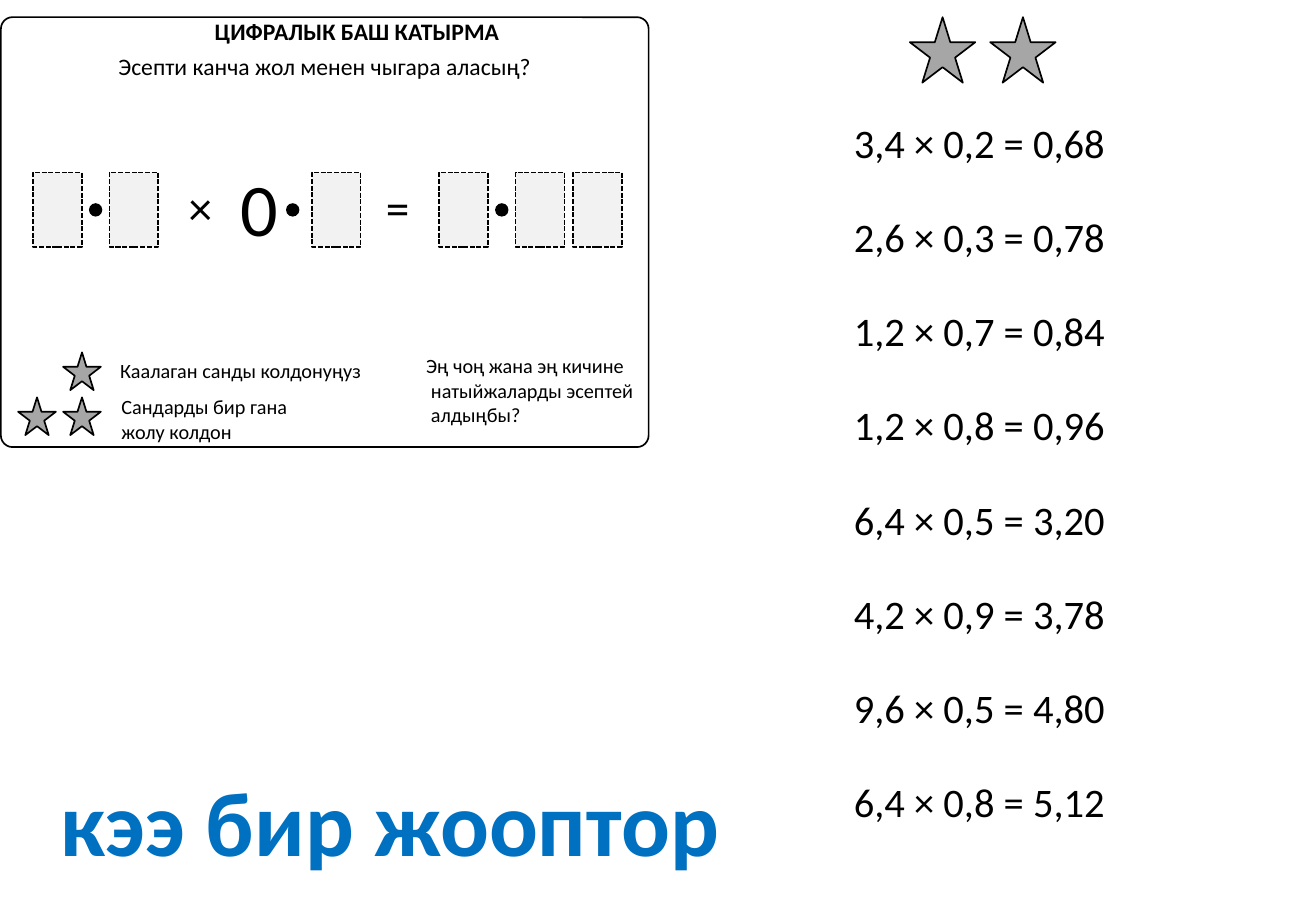
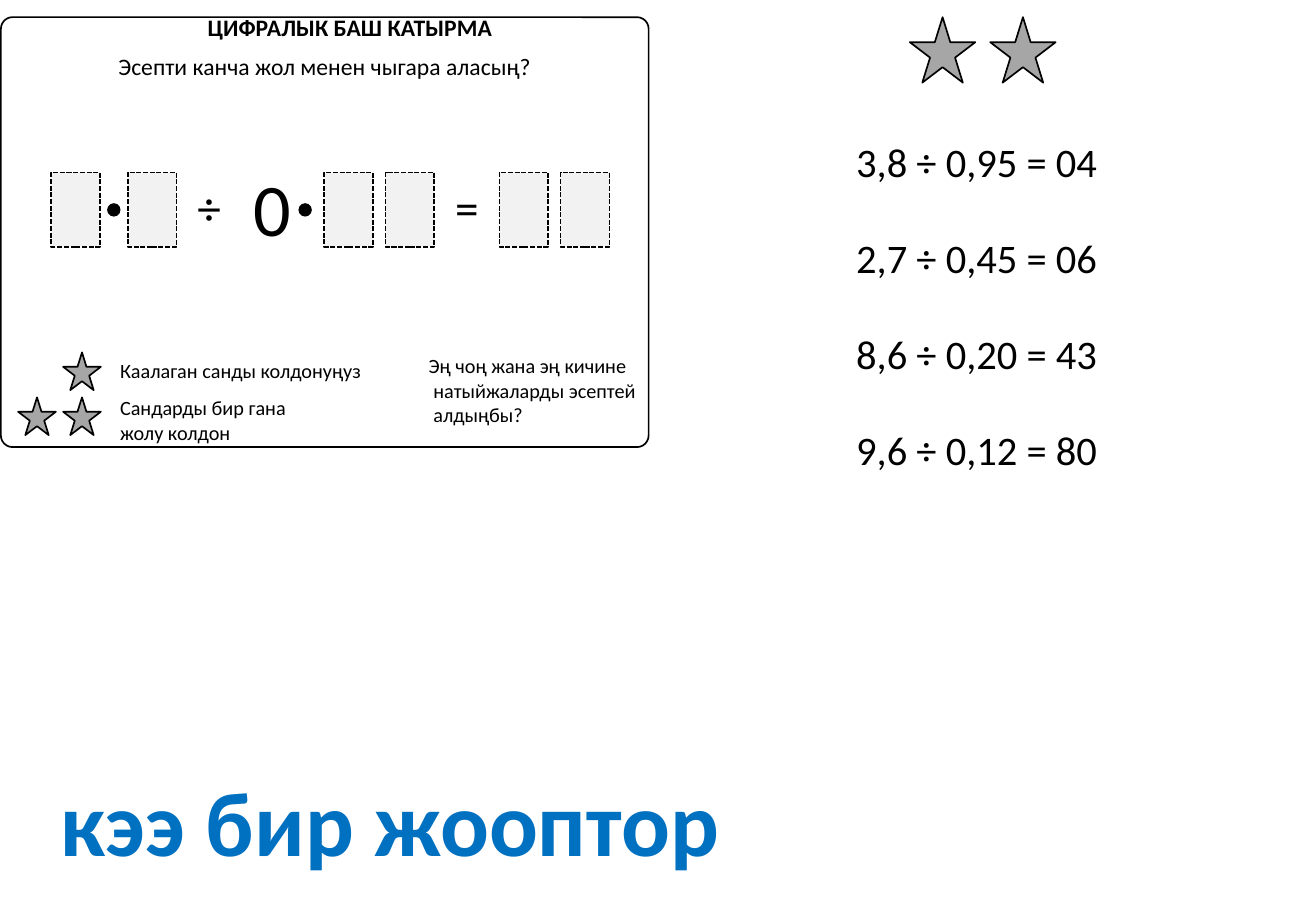
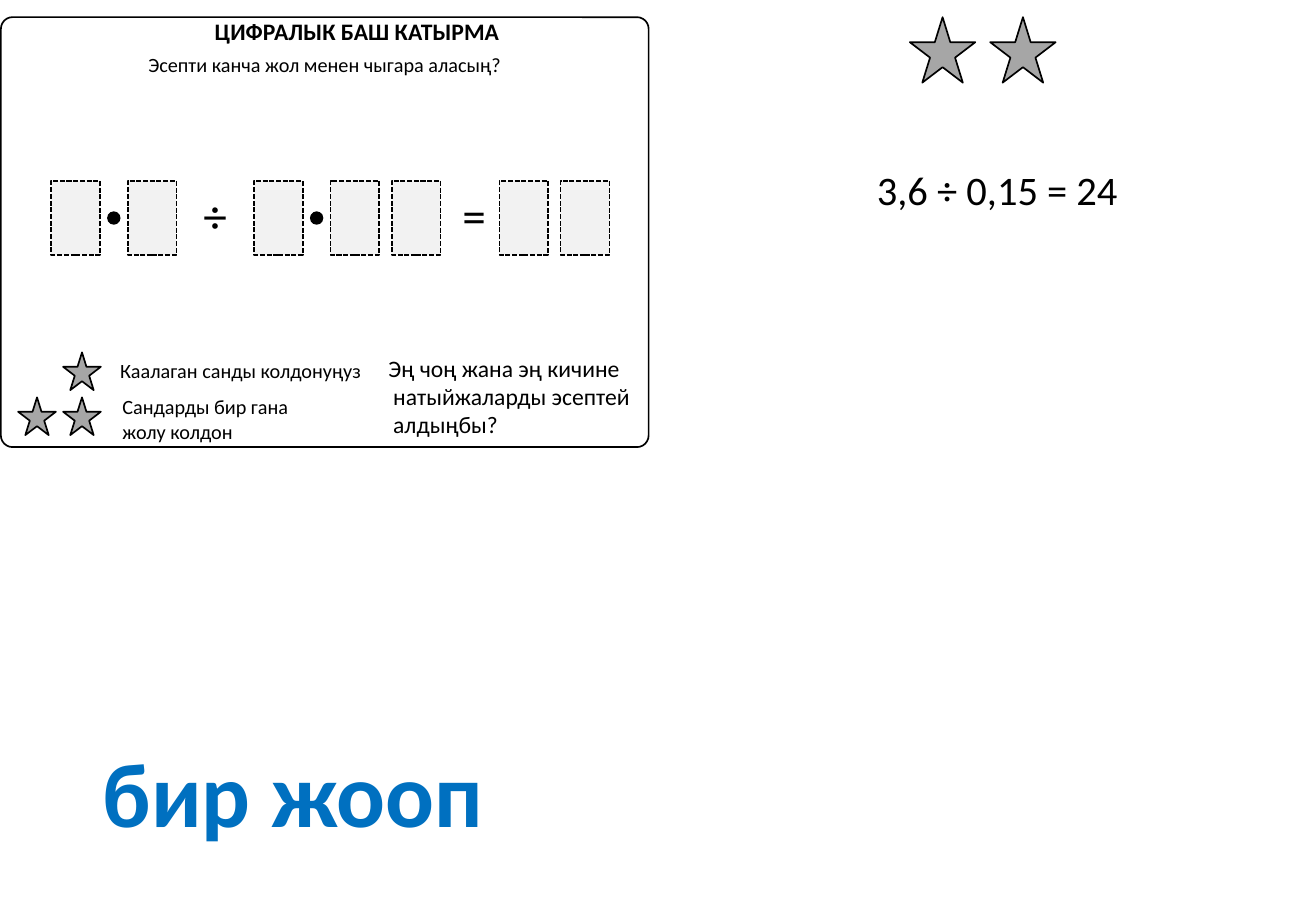
from dataclasses import dataclass

from pptx import Presentation
from pptx.dml.color import RGBColor
from pptx.enum.dml import MSO_LINE
from pptx.enum.shapes import MSO_SHAPE
from pptx.enum.text import MSO_AUTO_SIZE, PP_ALIGN
from pptx.util import Cm, Pt

STAR = MSO_SHAPE.STAR_5_POINT
RECTANGLE = MSO_SHAPE.RECTANGLE
ROUNDED_RECTANGLE = MSO_SHAPE.ROUNDED_RECTANGLE
OVAL = MSO_SHAPE.OVAL
DASH = MSO_LINE.SQUARE_DOT
FIT_SHAPE = MSO_AUTO_SIZE.SHAPE_TO_FIT_TEXT
LEFT = PP_ALIGN.LEFT
CENTER = PP_ALIGN.CENTER


@dataclass(frozen=True)
class Theme:
    font: str = "Calibri"
    ink: RGBColor = RGBColor(0x00, 0x00, 0x00)
    accent: RGBColor = RGBColor(0x00, 0x70, 0xC0)
    star: RGBColor = RGBColor(0xA6, 0xA6, 0xA6)
    tile: RGBColor = RGBColor(0xF2, 0xF2, 0xF2)
    line_width: float = 1
    small_size: int = 12
    body_size: int = 14
    answer_size: int = 24
    sign_size: int = 28
    zero_size: int = 44
    heading_size: int = 54


THEME = Theme()

NUMBER_OFFSETS = {
    "_._": (0, 1.17, 1.6),
    "0._": (0, 1.2, 1.74),
}


@dataclass(frozen=True)
class Puzzle:
    title_at: tuple
    question_size: int
    rule_at: tuple
    prompt_left: float
    prompt_width: float
    prompt_size: int
    prompt_wraps: bool
    equation_top: float
    digit_pitch: float
    numbers: tuple
    signs: tuple
    heading: str
    heading_box: tuple
    answers: tuple
    answers_at: tuple
    answer_width: float
    answer_pitch: float


PUZZLES = (
    Puzzle(
        title_at=(4.24, 0.36),
        question_size=THEME.body_size,
        rule_at=(2.29, 8.13),
        prompt_left=8.66,
        prompt_width=4.9,
        prompt_size=THEME.small_size,
        prompt_wraps=False,
        equation_top=3.61,
        digit_pitch=1.2,
        numbers=((0.69, "_._"), (4.78, "0._"), (9.18, "_.__")),
        signs=((3.68, "×"), (7.8, "=")),
        heading="кээ бир жооптор",
        heading_box=(0.94, 15.88, 14.43, 2.57),
        answers=(
            "3,4 × 0,2 = 0,68",
            "2,6 × 0,3 = 0,78",
            "1,2 × 0,7 = 0,84",
            "1,2 × 0,8 = 0,96",
            "6,4 × 0,5 = 3,20",
            "4,2 × 0,9 = 3,78",
            "9,6 × 0,5 = 4,80",
            "6,4 × 0,8 = 5,12",
        ),
        answers_at=(17.6, 2.34),
        answer_width=5.79,
        answer_pitch=1.97,
    ),
    Puzzle(
        title_at=(4.09, 0.28),
        question_size=THEME.body_size,
        rule_at=(2.26, 8.15),
        prompt_left=8.71,
        prompt_width=4.9,
        prompt_size=THEME.small_size,
        prompt_wraps=False,
        equation_top=3.61,
        digit_pitch=1.28,
        numbers=((1.07, "_._"), (5.04, "0.__"), (10.44, "__")),
        signs=((3.86, "÷"), (9.25, "=")),
        heading="кээ бир жооптор",
        heading_box=(0.94, 15.88, 14.43, 2.57),
        answers=(
            "3,8 ÷ 0,95 = 04",
            "2,7 ÷ 0,45 = 06",
            "8,6 ÷ 0,20 = 43",
            "9,6 ÷ 0,12 = 80",
        ),
        answers_at=(17.65, 2.74),
        answer_width=5.59,
        answer_pitch=2.01,
    ),
    Puzzle(
        title_at=(4.24, 0.36),
        question_size=THEME.small_size,
        rule_at=(2.31, 8.13),
        prompt_left=7.87,
        prompt_width=10.87,
        prompt_size=THEME.body_size,
        prompt_wraps=True,
        equation_top=3.78,
        digit_pitch=1.28,
        numbers=((1.07, "_._"), (5.31, "_.__"), (10.44, "__")),
        signs=((3.99, "÷"), (9.4, "=")),
        heading="бир жооп",
        heading_box=(1.85, 15.27, 8.56, 2.57),
        answers=("3,6 ÷ 0,15 = 24",),
        answers_at=(18.08, 3.33),
        answer_width=5.59,
        answer_pitch=0,
    ),
)


def add_figure(slide, kind, left, top, width, height, fill=None, outlined=True):
    shape = slide.shapes.add_shape(kind, Cm(left), Cm(top), Cm(width), Cm(height))
    shape.shadow.inherit = False
    if fill is None:
        shape.fill.background()
    else:
        shape.fill.solid()
        shape.fill.fore_color.rgb = fill
    if outlined:
        shape.line.color.rgb = THEME.ink
        shape.line.width = Pt(THEME.line_width)
    else:
        shape.line.fill.background()
    return shape


def add_text(slide, text, box, size, color=THEME.ink, bold=False,
             align=LEFT, wrap=False):
    text_box = slide.shapes.add_textbox(*(Cm(length) for length in box))
    text_frame = text_box.text_frame
    text_frame.word_wrap = wrap
    text_frame.auto_size = FIT_SHAPE
    text_frame.text = text
    for paragraph in text_frame.paragraphs:
        paragraph.alignment = align
        for run in paragraph.runs:
            run.font.name = THEME.font
            run.font.size = Pt(size)
            run.font.bold = bold
            run.font.color.rgb = color
    return text_frame


def add_star(slide, left, top, size):
    add_figure(slide, STAR, left, top, size, size, THEME.star)


def add_tile(slide, left, top):
    tile = add_figure(slide, RECTANGLE, left, top, 1.02, 1.55, THEME.tile)
    tile.line.dash_style = DASH


def add_dot(slide, left, top):
    add_figure(slide, OVAL, left, top + 0.64, 0.28, 0.28, THEME.ink, outlined=False)


def add_zero(slide, left, top):
    add_text(slide, "0", (left, top - 0.35, 1.3, 2.13), THEME.zero_size)


DIGIT_BUILDERS = {"_": add_tile, ".": add_dot, "0": add_zero}


def add_number(slide, left, top, pattern, digit_pitch):
    offsets = list(NUMBER_OFFSETS.get(pattern[:3], (0,)))
    while len(offsets) < len(pattern):
        offsets.append(offsets[-1] + digit_pitch)
    for symbol, offset in zip(pattern, offsets):
        DIGIT_BUILDERS[symbol](slide, left + offset, top)


def add_equation(slide, puzzle):
    for left, pattern in puzzle.numbers:
        add_number(slide, left, puzzle.equation_top, pattern, puzzle.digit_pitch)
    for left, sign in puzzle.signs:
        add_text(slide, sign, (left, puzzle.equation_top, 1.02, 1.45),
                 THEME.sign_size, align=CENTER)


def add_prompt(slide, puzzle):
    text_frame = add_text(
        slide,
        "Эң чоң жана эң кичине\nнатыйжаларды эсептей\nалдыңбы?",
        (puzzle.prompt_left, 7.27, puzzle.prompt_width, 2.7),
        puzzle.prompt_size,
        wrap=puzzle.prompt_wraps,
    )
    for paragraph in text_frame.paragraphs[1:]:
        paragraph._p.get_or_add_pPr().set("marL", str(Cm(0.1)))


def add_card(slide, puzzle):
    card = add_figure(slide, ROUNDED_RECTANGLE, 0.02, 0.36, 13.54, 8.99)
    card.adjustments[0] = 0.027
    title = add_text(slide, "ЦИФРАЛЫК БАШ КАТЫРМА", (*puzzle.title_at, 6.5, 0.61),
                     THEME.body_size, bold=True)
    title.margin_top = title.margin_bottom = 0
    add_text(slide, "Эсепти канча жол менен чыгара аласың?",
             (2.08, 0.97, 9.42, 0.86), puzzle.question_size, align=CENTER)
    for left, top in ((1.32, 7.37), (1.32, 8.31), (0.38, 8.31)):
        add_star(slide, left, top, 0.79)
    add_text(slide, "Каалаган санды колдонуңуз", (2.26, 7.37, 5.61, 0.76),
             THEME.small_size)
    add_text(slide, "Сандарды бир гана\nжолу колдон", (*puzzle.rule_at, 4.11, 1.27),
             THEME.small_size)
    add_prompt(slide, puzzle)
    add_equation(slide, puzzle)


def add_answers(slide, puzzle):
    for left in (19.02, 20.7):
        add_star(slide, left, 0.36, 1.37)
    left, top = puzzle.answers_at
    for index, answer in enumerate(puzzle.answers):
        answer_top = top + index * puzzle.answer_pitch
        add_text(slide, answer, (left, answer_top, puzzle.answer_width, 1.27),
                 THEME.answer_size)
    add_text(slide, puzzle.heading, puzzle.heading_box, THEME.heading_size,
             THEME.accent, bold=True, align=CENTER)


def main():
    presentation = Presentation()
    presentation.slide_width = Cm(27.51)
    presentation.slide_height = Cm(19.05)
    blank_layout = presentation.slide_layouts[6]
    for puzzle in PUZZLES:
        slide = presentation.slides.add_slide(blank_layout)
        add_card(slide, puzzle)
        add_answers(slide, puzzle)
    presentation.save("out.pptx")


if __name__ == "__main__":
    main()
